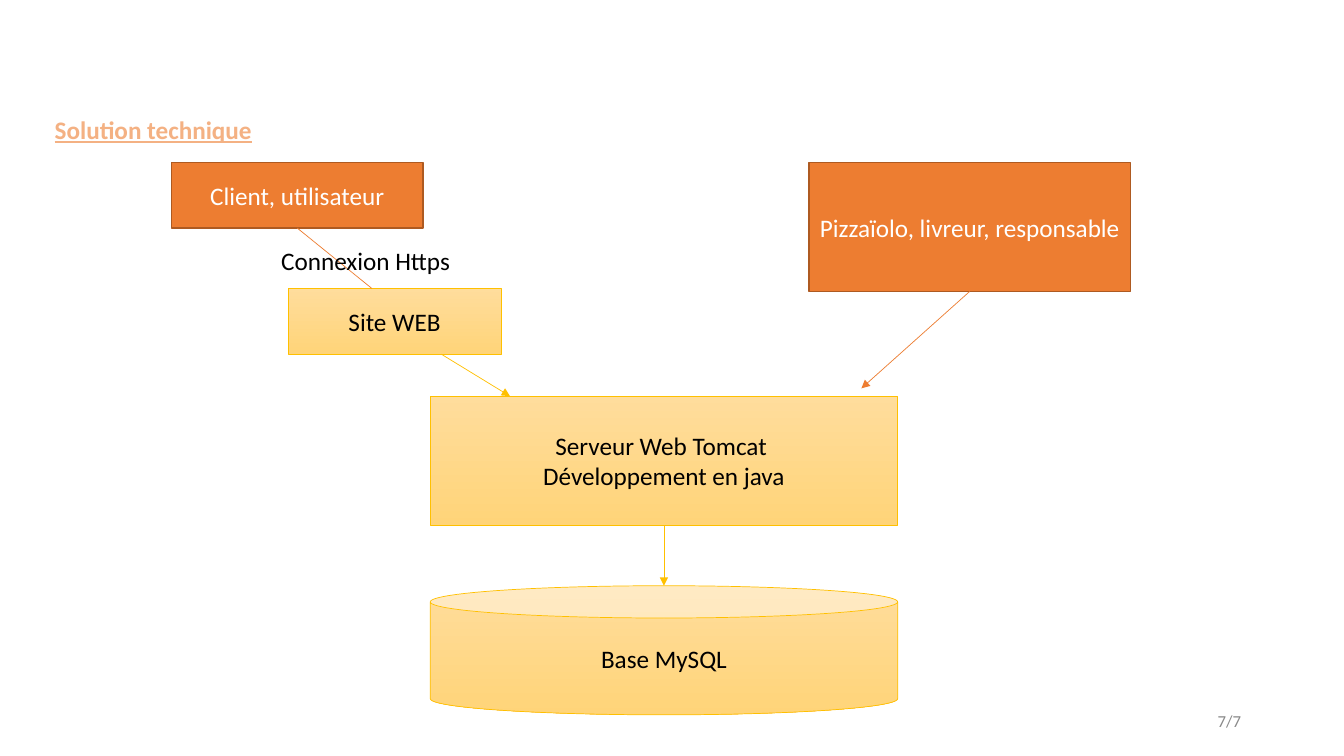
import pptx
import pptx.util
import pptx.dml.color
import pptx.enum.dml
import pptx.enum.shapes
import pptx.enum.text
import pptx.oxml
import pptx.oxml.ns

Pt = pptx.util.Pt
SHAPE = pptx.enum.shapes.MSO_SHAPE
ALIGN = pptx.enum.text.PP_ALIGN
ANCHOR = pptx.enum.text.MSO_ANCHOR
COLORS = {
    "heading": "F4B183",
    "orange": "ED7D31",
    "brown": "AE5A21",
    "gold": "FFC000",
    "gold_top": "FFDD9C",
    "gold_bottom": "FFD479",
    "black": "000000",
    "white": "FFFFFF",
    "grey": "898989",
}


def rgb(name):
    return pptx.dml.color.RGBColor.from_string(COLORS[name])


def write(shape, text, color, align=ALIGN.LEFT, anchor=ANCHOR.TOP, wrap=True, **font_format):
    frame = shape.text_frame
    frame.text = text
    frame_format = {
        "word_wrap": wrap, "vertical_anchor": anchor,
        "auto_size": pptx.enum.text.MSO_AUTO_SIZE.NONE,
        "margin_left": Pt(7.2), "margin_right": Pt(7.2),
        "margin_top": Pt(3.6), "margin_bottom": Pt(3.6),
    }
    for key, value in frame_format.items():
        setattr(frame, key, value)
    for paragraph in frame.paragraphs:
        paragraph.alignment = align
        for key, value in {"name": "Calibri", "size": Pt(18), **font_format}.items():
            setattr(paragraph.font, key, value)
        paragraph.font.color.rgb = rgb(color)


deck = pptx.Presentation()
deck.slide_width, deck.slide_height = Pt(960.5), Pt(540)
slide = deck.slides.add_slide(deck.slide_layouts[5])

heading = slide.shapes.title
for key, value in {"left": 31.9, "top": 77.8, "width": 167, "height": 29}.items():
    setattr(heading, key, Pt(value))
write(heading, "Solution technique", "heading", bold=True, underline=True)

components = [
    (SHAPE.CAN, 307.5, 418.4, 334, 92.2, "Base MySQL", "gold"),
    (SHAPE.RECTANGLE, 307.5, 283, 334, 92.2, "Serveur Web Tomcat \nDéveloppement en java", "gold"),
    (SHAPE.FLOWCHART_PROCESS, 578.2, 116, 229.7, 92.2, "Pizzaïolo, livreur, responsable", "orange"),
    (SHAPE.FLOWCHART_PROCESS, 206, 206, 152, 46.9, "Site WEB", "gold"),
    (SHAPE.FLOWCHART_PROCESS, 122.4, 116, 180, 46.9, "Client, utilisateur", "orange"),
]
for kind, left, top, width, height, label, tone in components:
    component = slide.shapes.add_shape(kind, Pt(left), Pt(top), Pt(width), Pt(height))
    component.shadow.inherit = False
    if tone == "gold":
        component.fill.gradient()
        component.fill.gradient_angle = 270
        for stop, shade in zip(component.fill.gradient_stops, ("gold_top", "gold_bottom")):
            stop.color.rgb = rgb(shade)
        outline, line_width, text_color = "gold", 0.5, "black"
    else:
        component.fill.solid()
        component.fill.fore_color.rgb = rgb("orange")
        outline, line_width, text_color = "brown", 1, "white"
    component.line.color.rgb = rgb(outline)
    component.line.width = Pt(line_width)
    write(component, label, text_color, ALIGN.CENTER, ANCHOR.MIDDLE)

links = [
    (212.4, 162.9, 265.7, 206, "orange", False),
    (474.5, 375.2, 474.5, 418.4, "gold", True),
    (315.4, 253, 364.5, 283, "gold", True),
    (693, 208.2, 615.6, 277.4, "orange", True),
]
for x1, y1, x2, y2, color, has_arrow in links:
    link = slide.shapes.add_connector(
        pptx.enum.shapes.MSO_CONNECTOR.STRAIGHT, Pt(x1), Pt(y1), Pt(x2), Pt(y2))
    link.line.color.rgb = rgb(color)
    link.line.width = Pt(0.5)
    if has_arrow:
        arrowhead = pptx.oxml.parse_xml(
            "<a:tailEnd %s type='triangle'/>" % pptx.oxml.ns.nsdecls("a"))
        link.line._get_or_add_ln().append(arrowhead)
    link._element.spPr.append(
        pptx.oxml.parse_xml("<a:effectLst %s/>" % pptx.oxml.ns.nsdecls("a")))

protocol = slide.shapes.add_textbox(Pt(193.9), Pt(171.6), Pt(135.4), Pt(29))
write(protocol, "Connexion Https", "black", wrap=False)

page_number = slide.shapes.add_textbox(Pt(678.2), Pt(500.4), Pt(216), Pt(29))
write(page_number, "7/7", "grey", ALIGN.RIGHT, ANCHOR.MIDDLE, size=Pt(12))

deck.save("out.pptx")
